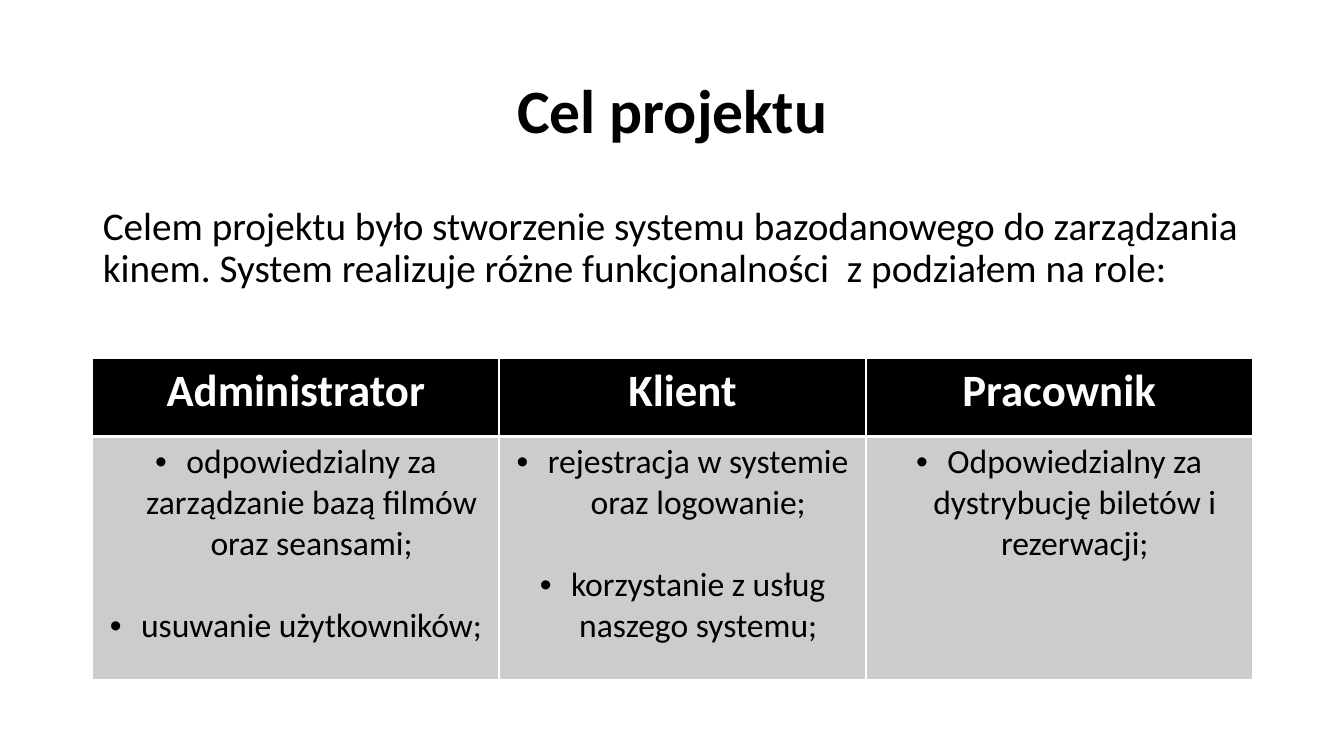
from pptx import Presentation
from pptx.dml.color import RGBColor
from pptx.enum.text import MSO_ANCHOR, MSO_AUTO_SIZE, PP_ALIGN
from pptx.oxml import parse_xml
from pptx.oxml.ns import nsdecls
from pptx.util import Inches, Pt

BLACK = RGBColor(0x00, 0x00, 0x00)
WHITE = RGBColor(0xFF, 0xFF, 0xFF)
GRAY = RGBColor(0xCC, 0xCC, 0xCC)
LEFT, CENTER = PP_ALIGN.LEFT, PP_ALIGN.CENTER
TOP, MIDDLE = MSO_ANCHOR.TOP, MSO_ANCHOR.MIDDLE
NO_FIT = MSO_AUTO_SIZE.NONE
FONT = "Calibri"

INTRO = ("Celem projektu było stworzenie systemu bazodanowego do zarządzania "
         "kinem. System realizuje różne funkcjonalności  z podziałem na role:")
ROLES = [
    ("Administrator", 4.03, ["odpowiedzialny za zarządzanie bazą filmów oraz seansami;",
                             "usuwanie użytkowników;"]),
    ("Klient", 3.64, ["rejestracja w systemie oraz logowanie;",
                      "korzystanie z usług naszego systemu;"]),
    ("Pracownik", 3.83, ["Odpowiedzialny za dystrybucję biletów i rezerwacji;"]),
]


def write(para, text, size=24, color=BLACK, bold=False, align=CENTER,
          line=1.0, before=0, bullet=False, indent=0):
    run = para.add_run()
    run.text = text
    font = run.font
    font.name, font.size, font.bold = FONT, Pt(size), bold
    font.color.rgb = color
    para.alignment, para.line_spacing = align, line
    para.space_before = Pt(before)
    props = para._p.get_or_add_pPr()
    props.set("marL", str(Inches(indent)))
    props.set("indent", str(-Inches(indent)))
    marks = ['buFont typeface="Arial"', 'buChar char="•"'] if bullet else ["buNone"]
    for mark in marks:
        props.append(parse_xml(f"<a:{mark} {nsdecls('a')}/>"))


class Page:
    """Holds the deck and its current slide and adds styled elements."""

    def __init__(self):
        self.deck = Presentation()
        self.deck.slide_width = Inches(13.33)
        self.deck.slide_height = Inches(7.5)
        self.slide = self.deck.slides.add_slide(self.deck.slide_layouts[1])

    def holder(self, index, text, box, anchor, **style):
        shape = self.slide.placeholders[index]
        shape.left, shape.top, shape.width, shape.height = map(Inches, box)
        frame = shape.text_frame
        frame.auto_size, frame.word_wrap = NO_FIT, True
        frame.vertical_anchor = anchor
        write(frame.paragraphs[0], text, **style)

    def cell(self, cell, fill, top, bottom):
        cell.fill.solid()
        cell.fill.fore_color.rgb = fill
        props = cell._tc.get_or_add_tcPr()
        edges = {"L": 1, "R": 1, "T": top, "B": bottom}
        for place, (side, width) in enumerate(edges.items()):
            props.insert(place, parse_xml(
                f'<a:ln{side} {nsdecls("a")} w="{Pt(width)}"><a:solidFill>'
                f'<a:srgbClr val="{WHITE}"/></a:solidFill></a:ln{side}>'))

    def table(self, roles, box, heights):
        grid = self.slide.shapes.add_table(
            len(heights), len(roles), *map(Inches, box)).table
        for row, height in zip(grid.rows, heights):
            row.height = Inches(height)
        for col, (name, width, tasks) in enumerate(roles):
            grid.columns[col].width = Inches(width)
            head, body = grid.cell(0, col), grid.cell(1, col)
            self.cell(head, BLACK, 1, 3)
            self.cell(body, GRAY, 3, 1)
            write(head.text_frame.paragraphs[0], name, size=32, color=WHITE, bold=True)
            frame = body.text_frame
            for rank, task in enumerate(tasks):
                para = frame.add_paragraph() if rank else frame.paragraphs[0]
                write(para, task, before=29.3 if rank else 0, bullet=True, indent=0.31)


def main():
    page = Page()
    page.holder(0, "Cel projektu", (0.92, 0.4, 11.5, 1.45), MIDDLE,
                size=44, bold=True, line=0.9)
    page.holder(1, INTRO, (0.92, 2, 11.5, 4.76), TOP,
                size=28, align=LEFT, line=0.9, before=10)
    page.table(ROLES, (0.92, 3.56, 11.5, 3.18), (0.77, 2.41))
    page.deck.save("out.pptx")


if __name__ == "__main__":
    main()
